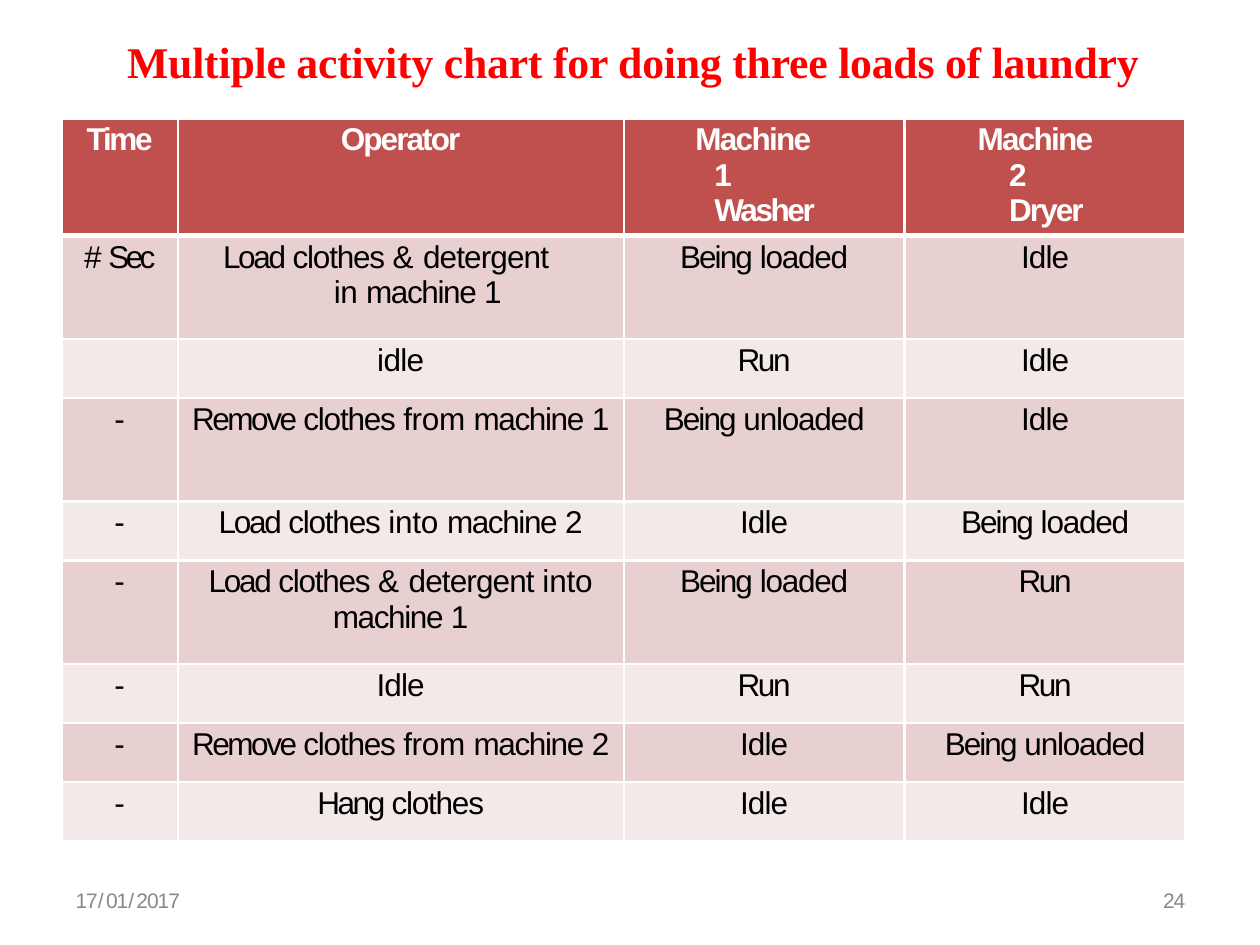
import dataclasses

import lxml.etree
import pptx
import pptx.dml.color
import pptx.enum.text
import pptx.oxml.ns
import pptx.util

COLS, ROWS = 100, 75  # slide grid
ALIGN = pptx.enum.text.PP_ALIGN


@dataclasses.dataclass(frozen=True)
class Theme:
    sans: str = "Arial"
    serif: str = "Times New Roman"
    title: str = "FF0000"
    header: str = "C0504D"
    bands: tuple = ("E8D0D0", "F4E9E9")
    border: str = "FFFFFF"
    header_text: str = "FFFFFF"
    body_text: str = "000000"
    footer_text: str = "888888"
    title_size: int = 25
    table_size: int = 18
    footer_size: int = 12
    thin: float = 1.5
    thick: float = 3


T = Theme()

# Letter spacing in points for each word
TRACKING = {
    "Time": -1.3, "Operator": -1.1, "Machine": -1, "Washer": -1.4, "Dryer": -1.1,
    "#": -1.1, "Sec": -2.1, "Load": -1.3, "Remove": -1.4, "Hang": -1.4, "Run": -1.4,
    "clothes": -0.7, "&": 0.2, "detergent": -0.5, "in": -0.3, "into": -0.1,
    "from": -0.2, "machine": -0.8, "1": -0.9, "2": -0.9, "Being": -1.1,
    "loaded": -0.7, "unloaded": -0.7, "Idle": -0.5, "idle": -0.4,
    "/": 1.3, "17": -0.6, "01": -0.6, "2017": -0.6, "24": -0.6,
}

TABLE_COLS = [9.2, 35.4, 22.3, 22.3]
TABLE_ROWS = [8.2, 8.2, 4.7, 8.2, 4.7, 8.2, 4.7, 4.7, 4.7]
ACTIVITIES = [
    ["Time", "Operator", "Machine 1 Washer", "Machine 2 Dryer"],
    ["# Sec", "Load clothes & detergent in machine 1", "Being loaded", "Idle"],
    ["", "idle", "Run", "Idle"],
    ["-", "Remove clothes from machine 1", "Being unloaded", "Idle"],
    ["-", "Load clothes into machine 2", "Idle", "Being loaded"],
    ["-", "Load clothes & detergent into\nmachine 1", "Being loaded", "Run"],
    ["-", "Idle", "Run", "Run"],
    ["-", "Remove clothes from machine 2", "Idle", "Being unloaded"],
    ["-", "Hang clothes", "Idle", "Idle"],
]
# Hanging paragraphs by (row, column): left margin, first line indent, right margin
HANGING = {(0, 2): (7.2, -1.5, 6.8), (0, 3): (8.3, -2.5, 6.8), (1, 1): (12.4, -8.8, 4.6)}


def unit(n):
    """Length of n grid units, equal across and down."""
    return pptx.util.Inches(n * 10 / COLS)


def rgb(color):
    return pptx.dml.color.RGBColor.from_string(color)


def split_words(text):
    """Words with their trailing space; slashes stand alone."""
    return text.replace(" ", " \n").replace("/", "\n/\n").split("\n")


def write_text(tf, text, size, color, font=T.sans, bold=False, align=None,
               before=0, leading=None, indent=None, tracking=None):
    for i, line in enumerate(text.split("\n")):
        p = tf.paragraphs[0] if i == 0 else tf.add_paragraph()
        p.alignment = align
        p.space_before = pptx.util.Pt(before if i == 0 else 0.1)
        if leading:
            p.line_spacing = pptx.util.Pt(leading)
        if indent:
            pPr = p._p.get_or_add_pPr()
            for name, value in zip(("marL", "indent", "marR"), indent):
                pPr.set(name, str(unit(value)))
        for word in split_words(line) if tracking is None else [line]:
            r = p.add_run()
            r.text = word
            r.font.name = font
            r.font.size = pptx.util.Pt(size)
            r.font.bold = bold
            r.font.color.rgb = rgb(color)
            spacing = TRACKING.get(word.strip(), 0) if tracking is None else tracking
            r._r.get_or_add_rPr().set("spc", str(round(spacing * 100)))


def add_text(slide, box, text, top_inset=0, **fmt):
    sp = slide.shapes.add_textbox(*map(unit, box))
    tf = sp.text_frame
    tf.word_wrap = True
    tf.auto_size = pptx.enum.text.MSO_AUTO_SIZE.SHAPE_TO_FIT_TEXT
    tf.margin_left = tf.margin_right = tf.margin_bottom = 0
    tf.margin_top = unit(top_inset)
    write_text(tf, text, **fmt)


def set_borders(cell, top, bottom):
    tcPr = cell._tc.get_or_add_tcPr()
    qn = pptx.oxml.ns.qn
    for side, width in zip("LRTB", (T.thin, T.thin, top, bottom)):
        ln = lxml.etree.SubElement(tcPr, qn("a:ln" + side), w=str(pptx.util.Pt(width)))
        fill = lxml.etree.SubElement(ln, qn("a:solidFill"))
        lxml.etree.SubElement(fill, qn("a:srgbClr"), val=T.border)


def add_title(slide, box):
    add_text(slide, box, "Multiple activity chart for doing three loads of laundry",
             top_inset=0.1, size=T.title_size, color=T.title, font=T.serif, bold=True,
             before=0.9, indent=(0.1, 0), tracking=-0.1)


def add_activity_table(slide, box):
    frame = slide.shapes.add_table(len(TABLE_ROWS), len(TABLE_COLS), *map(unit, box))
    table = frame.table
    table.first_row = table.horz_banding = False
    for col, width in zip(table.columns, TABLE_COLS):
        col.width = unit(width)
    for row, height in zip(table.rows, TABLE_ROWS):
        row.height = unit(height)
    for i, texts in enumerate(ACTIVITIES):
        is_header = i == 0
        for j, text in enumerate(texts):
            cell = table.cell(i, j)
            cell.margin_left = cell.margin_right = cell.margin_bottom = 0
            cell.margin_top = unit(0.3)
            set_borders(cell, T.thick if i == 1 else T.thin,
                        T.thick if is_header else T.thin)
            cell.fill.solid()
            cell.fill.fore_color.rgb = rgb(T.header if is_header else T.bands[(i - 1) % 2])
            indent = HANGING.get((i, j))
            write_text(cell.text_frame, text, T.table_size,
                       T.header_text if is_header else T.body_text, bold=is_header,
                       align=ALIGN.LEFT if indent else ALIGN.CENTER,
                       before=2.4, indent=indent)


def add_footer(slide, box):
    """Date at the left end of the box, slide number at the right end."""
    left, top, width, height = box
    date_width, number_width = 8.4, 2.5
    style = dict(size=T.footer_size, color=T.footer_text, leading=12.4)
    add_text(slide, (left, top, date_width, height), "17/01/2017",
             indent=(0.1, 0), **style)
    add_text(slide, (left + width - number_width, top, number_width, height), "24",
             indent=(0.4, 0), **style)


def main():
    prs = pptx.Presentation()
    prs.slide_width, prs.slide_height = unit(COLS), unit(ROWS)
    slide = prs.slides.add_slide(prs.slide_layouts[6])
    add_footer(slide, (5.9, 70.7, 88.5, 1.9))
    add_activity_table(slide, (4.9, 9.4, sum(TABLE_COLS), sum(TABLE_ROWS)))
    add_title(slide, (10, 2.7, 81.6, 4.4))
    prs.save("out.pptx")


if __name__ == "__main__":
    main()
